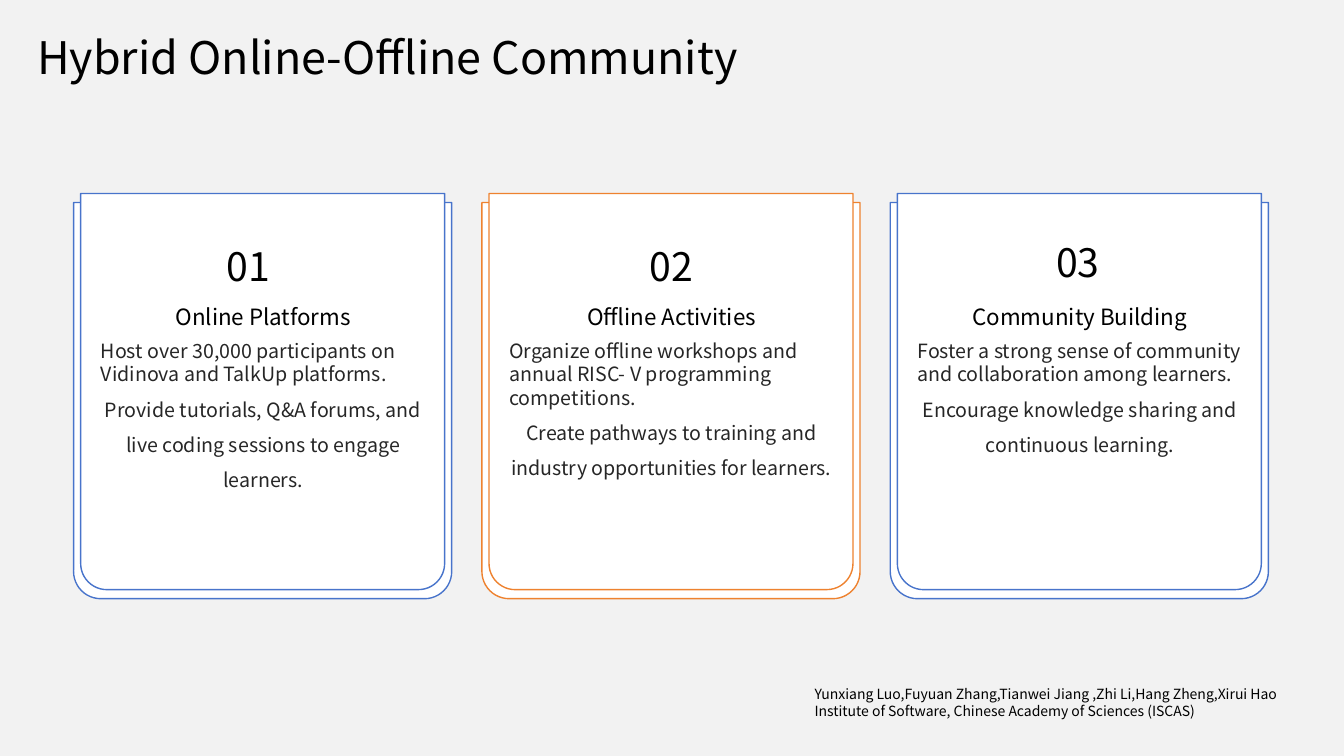
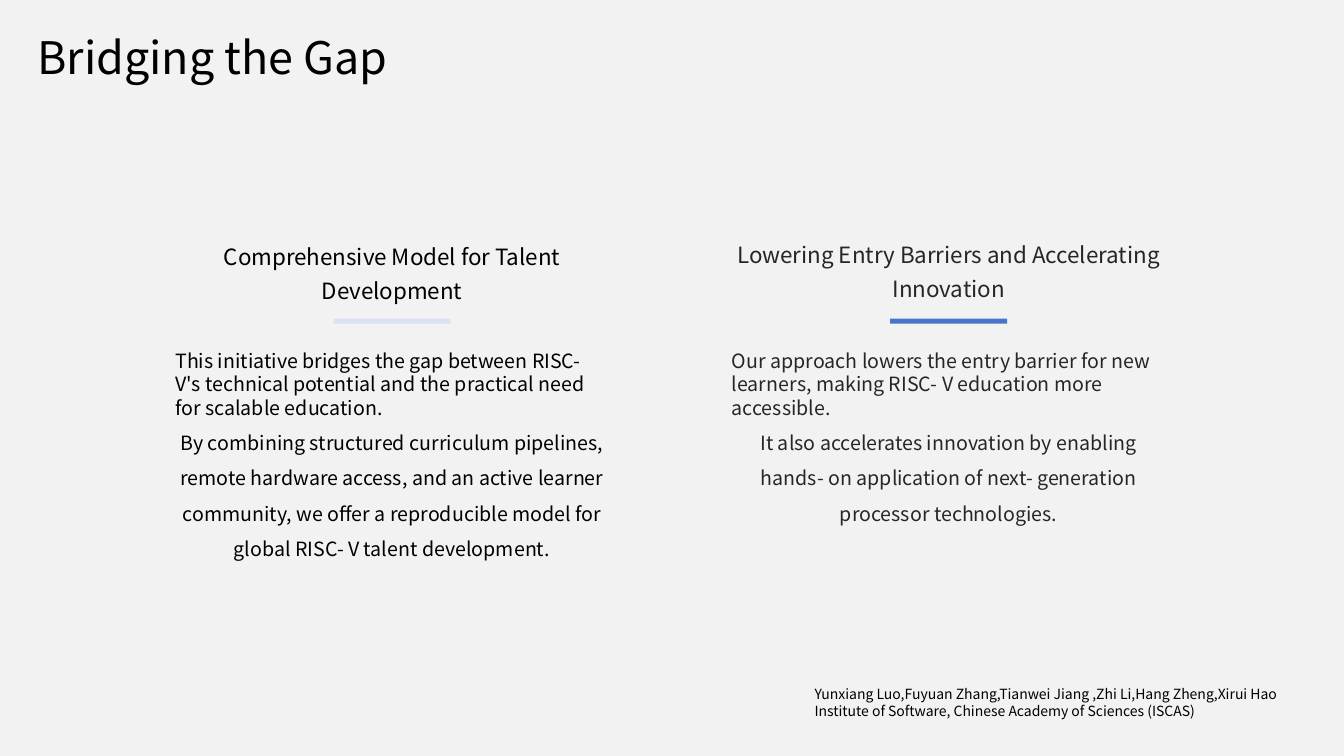
from dataclasses import dataclass

from pptx import Presentation
from pptx.dml.color import RGBColor
from pptx.enum.shapes import MSO_SHAPE
from pptx.enum.text import MSO_ANCHOR, PP_ALIGN
from pptx.util import Inches, Pt

LEFT, CENTER = PP_ALIGN.LEFT, PP_ALIGN.CENTER
TOP, MIDDLE, BOTTOM = MSO_ANCHOR.TOP, MSO_ANCHOR.MIDDLE, MSO_ANCHOR.BOTTOM
RECTANGLE = MSO_SHAPE.RECTANGLE
ROUNDED_PAIR = MSO_SHAPE.ROUND_2_SAME_RECTANGLE
BLANK_LAYOUT = 6


@dataclass(frozen=True)
class Theme:
    """Colours, font and type sizes shared by the slides."""
    font: str = "Noto Sans CJK SC"
    background: str = "F2F2F2"
    white: str = "FFFFFF"
    black: str = "000000"
    gray: str = "262626"
    blue: str = "4874CB"
    pale_blue: str = "DAE3F5"
    orange: str = "EE822F"
    title_size: int = 32
    number_size: int = 28
    heading_size: int = 16
    body_size: int = 14
    footer_size: int = 10


THEME = Theme()
PADDED = (0.1, 0.05)
FLUSH = (0, 0)

FOOTER = (
    "Yunxiang Luo,Fuyuan Zhang,Tianwei Jiang ,Zhi Li,Hang Zheng,Xirui Hao",
    "Institute of Software, Chinese Academy of Sciences (ISCAS)",
)

CARD_LEFT, CARD_TOP, CARD_PITCH = 0.73, 2.01, 4.05
CARD_WIDTH, CARD_HEIGHT = 3.75, 3.93
CARDS = (
    {"number": "01", "number_offset": (0.11, 0.36), "color": THEME.blue,
     "heading": "Online Platforms",
     "body": ("Host over 30,000 participants on Vidinova and TalkUp platforms.",
              "Provide tutorials, Q&A forums, and live coding sessions to engage learners.")},
    {"number": "02", "number_offset": (0.26, 0.36), "color": THEME.orange,
     "heading": "Offline Activities",
     "body": ("Organize offline workshops and annual RISC- V programming competitions.",
              "Create pathways to training and industry opportunities for learners.")},
    {"number": "03", "number_offset": (0.24, 0.32), "color": THEME.blue,
     "heading": "Community Building",
     "body": ("Foster a strong sense of community and collaboration among learners.",
              "Encourage knowledge sharing and continuous learning.")},
)

COLUMN_LEFT, COLUMN_TOP, COLUMN_PITCH, COLUMN_WIDTH = 1.64, 2.23, 5.52, 4.5
COLUMNS = (
    {"heading": "Comprehensive Model for Talent Development",
     "heading_height": 0.84, "color": THEME.black, "bar_color": THEME.pale_blue,
     "body": ("This initiative bridges the gap between RISC- V's technical potential "
              "and the practical need for scalable education.",
              "By combining structured curriculum pipelines, remote hardware access, "
              "and an active learner community, we offer a reproducible model for "
              "global RISC- V talent development.")},
    {"heading": "Lowering Entry Barriers and Accelerating Innovation",
     "heading_height": 0.82, "color": THEME.gray, "bar_color": THEME.blue,
     "body": ("Our approach lowers the entry barrier for new learners, "
              "making RISC- V education more accessible.",
              "It also accelerates innovation by enabling hands- on application "
              "of next- generation processor technologies.")},
)


def rgb(color):
    """Turn a hex string into a colour."""
    return RGBColor.from_string(color)


def add_text(slide, box, lines, size, color=THEME.black, anchor=TOP,
             styles=((LEFT, 1.0),), insets=FLUSH):
    """Add a text box; styles hold alignment and spacing, the last one repeating."""
    text_box = slide.shapes.add_textbox(*map(Inches, box))
    frame = text_box.text_frame
    frame.word_wrap = True
    frame.vertical_anchor = anchor
    frame.margin_left = frame.margin_right = Inches(insets[0])
    frame.margin_top = frame.margin_bottom = Inches(insets[1])
    frame.text = "\n".join(lines)
    for index, paragraph in enumerate(frame.paragraphs):
        alignment, spacing = styles[min(index, len(styles) - 1)]
        paragraph.alignment = alignment
        paragraph.line_spacing = spacing
        for run in paragraph.runs:
            run.font.name = THEME.font
            run.font.size = Pt(size)
            run.font.color.rgb = rgb(color)


def add_body(slide, box, lines, color, insets=FLUSH):
    """Add a tight opening statement followed by a centred, open paragraph."""
    add_text(slide, box, lines, THEME.body_size, color,
             styles=((LEFT, 1.0), (CENTER, 1.5)), insets=insets)


def add_panel(slide, kind, box, fill, line=None):
    """Add a flat filled shape with an optional outline."""
    shape = slide.shapes.add_shape(kind, *map(Inches, box))
    shape.shadow.inherit = False
    shape.fill.solid()
    shape.fill.fore_color.rgb = rgb(fill)
    if line:
        shape.line.color.rgb = rgb(line)
        shape.line.width = Pt(1)
    else:
        shape.line.fill.background()
    return shape


def add_card(slide, box, card):
    """Draw a numbered card with its doubled outline."""
    left, top, width, height = box
    inner_box = (left + 0.07, top - 0.09, width - 0.14, height)
    for outline in (box, inner_box):
        panel = add_panel(slide, ROUNDED_PAIR, outline, THEME.white, card["color"])
        panel.adjustments[0] = 0
        panel.adjustments[1] = 0.072
    text_left, text_width = left + 0.27, width - 0.53
    number_left, number_top = card["number_offset"]
    add_text(slide, (left + number_left, top + number_top, 3.24, 0.4),
             [card["number"]], THEME.number_size, anchor=MIDDLE,
             styles=((CENTER, 1.3),))
    add_text(slide, (text_left, top + 0.36, text_width, 0.9),
             [card["heading"]], THEME.heading_size, anchor=BOTTOM,
             styles=((CENTER, 1.3),))
    add_body(slide, (text_left, top + 1.35, text_width, 1.83),
             card["body"], THEME.gray)


def add_column(slide, box, column):
    """Draw a heading, its accent bar and the text below."""
    left, top, width = box
    bar_width = 1.16
    add_text(slide, (left, top, width, column["heading_height"]),
             [column["heading"]], THEME.heading_size, column["color"], BOTTOM,
             ((CENTER, 1.3),), PADDED)
    add_panel(slide, RECTANGLE,
              (left + (width - bar_width) / 2, top + 0.93, bar_width, 0.05),
              column["bar_color"])
    add_body(slide, (left, top + 1.18, width, 2.28),
             column["body"], column["color"], PADDED)


def add_base_slide(presentation, title):
    """Add a slide with the shared background, title and footer."""
    slide = presentation.slides.add_slide(presentation.slide_layouts[BLANK_LAYOUT])
    slide.background.fill.solid()
    slide.background.fill.fore_color.rgb = rgb(THEME.background)
    add_text(slide, (0.37, 0.27, 8.73, 0.47), [title], THEME.title_size,
             anchor=MIDDLE, styles=((LEFT, 1.2),))
    add_text(slide, (7.98, 6.75, 5.18, 0.57), FOOTER, THEME.footer_size,
             insets=PADDED)
    return slide


def build_community_slide(presentation):
    """Build the slide with three cards."""
    slide = add_base_slide(presentation, "Hybrid Online-Offline Community")
    for index, card in enumerate(CARDS):
        left = CARD_LEFT + index * CARD_PITCH
        add_card(slide, (left, CARD_TOP, CARD_WIDTH, CARD_HEIGHT), card)


def build_gap_slide(presentation):
    """Build the slide with two text columns."""
    slide = add_base_slide(presentation, "Bridging the Gap")
    for index, column in enumerate(COLUMNS):
        left = COLUMN_LEFT + index * COLUMN_PITCH
        add_column(slide, (left, COLUMN_TOP, COLUMN_WIDTH), column)


def main():
    """Build and save the presentation."""
    presentation = Presentation()
    presentation.slide_width = Inches(13.33)
    presentation.slide_height = Inches(7.5)
    build_community_slide(presentation)
    build_gap_slide(presentation)
    presentation.save("out.pptx")


if __name__ == "__main__":
    main()
